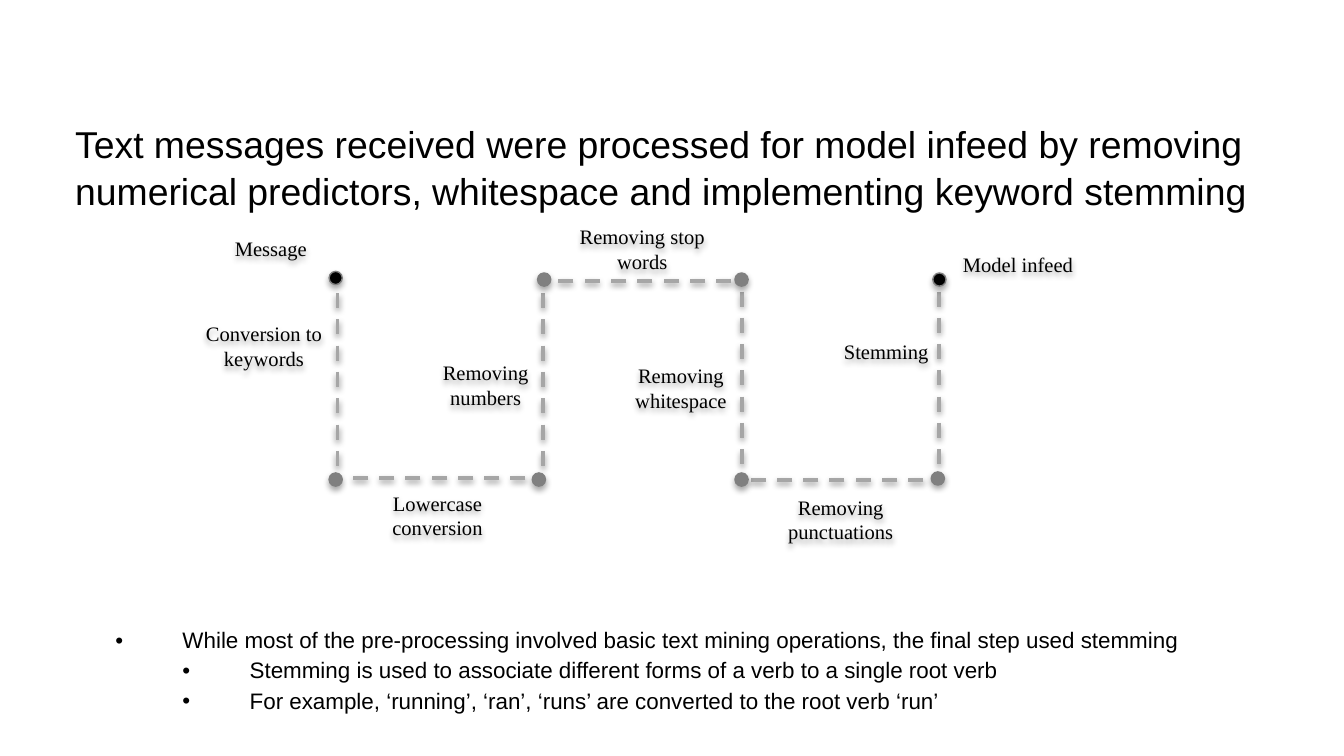
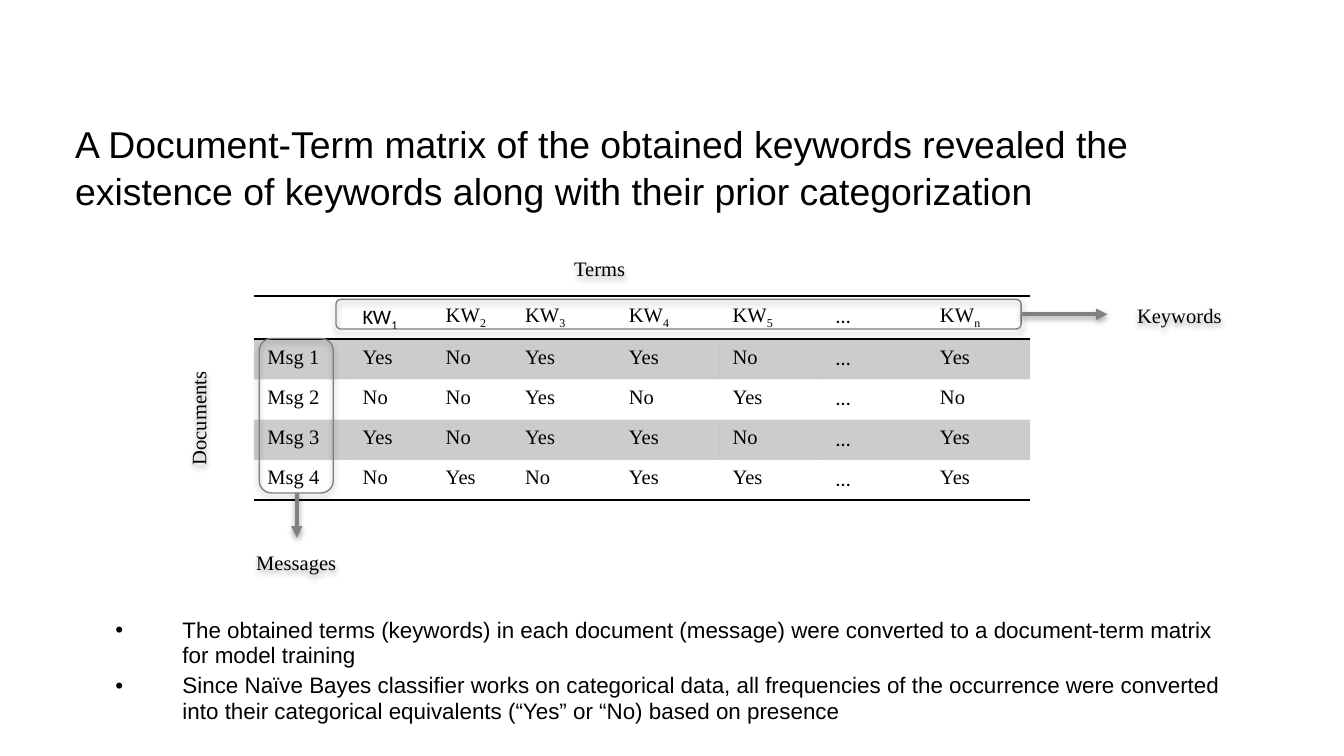
from lxml import etree
from pptx import Presentation
from pptx import util as u
from pptx.dml import color
from pptx.enum import dml, shapes, text
from pptx.oxml.ns import qn

COLOURS = {"ink": "000000", "grey": "808080", "path": "A6A6A6"}
SANS, SERIF, ELLIPSIS_FONT = "Arial", "Times New Roman", "Calibri"
NO_STYLE = "{2D5ABB26-0587-4C30-8999-92F81FD0307C}"
LINK = 3.3
LABEL_WIDTH = 3.38
LABEL_HEIGHT = 0.94

LINKS_DOWN = [(6.38, 5.54), (10.26, 5.54), (14.02, 5.51), (17.75, 5.51)]
LINKS_ACROSS = [(6.63, 9.04), (10.52, 5.31), (14.15, 9.07)]
ENDS = [(6.22, 5.13), (17.63, 5.16)]
STOPS = [(6.22, 8.94), (10.06, 8.94), (10.16, 5.16),
         (13.89, 5.16), (13.89, 8.94), (17.6, 8.92)]
STEPS = [
    ("Message", 3.43, 4.22),
    ("Conversion to keywords", 3.3, 6.07),
    ("Lowercase conversion", 6.58, 9.27),
    ("Removing numbers", 7.49, 6.81),
    ("Removing stop words", 10.64, 4.24, 3),
    ("Removing whitespace", 11.18, 6.86),
    ("Removing punctuations", 14.2, 9.35),
    ("Stemming", 15.06, 6.17),
    ("Model infeed", 17.55, 4.52),
]
TERM_WIDTHS = [1.8, 1.57, 1.5] + [1.96] * 5
TERMS = ["", "1", "2", "3", "4", "5", "…", "n"]
MESSAGES = [
    ["Msg 1", "Yes", "No", "Yes", "Yes", "No", "…", "Yes"],
    ["Msg 2", "No", "No", "Yes", "No", "Yes", "…", "No"],
    ["Msg 3", "Yes", "No", "Yes", "Yes", "No", "…", "Yes"],
    ["Msg 4", "No", "Yes", "No", "Yes", "Yes", "…", "Yes"],
]


def rgb(name):
    """Return a named colour."""
    return color.RGBColor.from_string(COLOURS[name])


def box(*lengths):
    """Turn centimetres into slide lengths."""
    return [u.Cm(length) for length in lengths]


def add_xml(parent, tag, **attributes):
    """Append a drawing element and return it."""
    return etree.SubElement(parent, qn(tag), **attributes)


def add_run(paragraph, words, size=11, font=SERIF):
    """Add one formatted run to a paragraph."""
    run = paragraph.add_run()
    run.text = words
    run.font.size = u.Pt(size)
    run.font.name = font
    run.font.color.rgb = rgb("ink")
    return run


def add_shadow(item, distance=23000, opacity=35000):
    """Give a shape or connector a soft shadow below it."""
    effects = add_xml(item._element.spPr, "a:effectLst")
    shadow = add_xml(effects, "a:outerShdw", blurRad="40000", dist=str(distance),
                     dir="5400000", rotWithShape="0")
    tint = add_xml(shadow, "a:srgbClr", val=COLOURS["ink"])
    add_xml(tint, "a:alpha", val=str(opacity))


def add_text_area(slide, *place):
    """Add a wrapping text box and return its frame."""
    frame = slide.shapes.add_textbox(*box(*place)).text_frame
    frame.word_wrap = True
    return frame


def add_title(slide, words):
    """Add the slide title."""
    heading = add_text_area(slide, 1.17, 2.13, 23.32, 2.67).paragraphs[0]
    heading.line_spacing = 1.05
    add_run(heading, words, 20, SANS)


def add_points(slide, points):
    """Add bulleted points given as (level, words)."""
    frame = add_text_area(slide, 1.93, 11.23, 21.77, 2.92)
    frame.vertical_anchor = text.MSO_ANCHOR.MIDDLE
    for index, (level, words) in enumerate(points):
        point = frame.add_paragraph() if index else frame.paragraphs[0]
        point.level = level
        point.line_spacing = 0.95
        props = point._p.get_or_add_pPr()
        props.set("marL", str(u.Cm(1.27 * (level + 1))))
        props.set("indent", str(u.Cm(-1.27)))
        add_xml(add_xml(props, "a:spcBef"), "a:spcPct", val="20000")
        add_xml(props, "a:buFont", typeface=SANS)
        add_xml(props, "a:buChar", char="•")
        add_run(point, words, 12, SANS)


def add_label(slide, words, left, top, width=LABEL_WIDTH, rotation=0):
    """Add a centred label without outline."""
    label = slide.shapes.add_shape(shapes.MSO_SHAPE.ROUNDED_RECTANGLE,
                                   *box(left, top, width, LABEL_HEIGHT))
    label.fill.background()
    label.line.fill.background()
    label.rotation = rotation
    add_shadow(label)
    frame = label.text_frame
    frame.word_wrap = True
    frame.vertical_anchor = text.MSO_ANCHOR.MIDDLE
    frame.paragraphs[0].alignment = text.PP_ALIGN.CENTER
    add_run(frame.paragraphs[0], words)


def add_outline(slide, kind, place, fill=None):
    """Add a thin grey outline, filled if a colour is named."""
    outline = slide.shapes.add_shape(kind, *box(*place))
    if fill:
        outline.fill.solid()
        outline.fill.fore_color.rgb = rgb(fill)
    else:
        outline.fill.background()
    outline.line.color.rgb = rgb("grey")
    outline.line.width = u.Pt(0.75)
    add_shadow(outline)


def add_line(slide, ends, colour, dashed=False, arrow=False):
    """Add a straight line with an optional dash and arrowhead."""
    line = slide.shapes.add_connector(shapes.MSO_CONNECTOR.STRAIGHT, *box(*ends))
    line.line.color.rgb = rgb(colour)
    line.line.width = u.Pt(2)
    if dashed:
        line.line.dash_style = dml.MSO_LINE.DASH
    if arrow:
        add_xml(line._element.spPr.find(qn("a:ln")), "a:tailEnd", type="triangle")
    add_shadow(line, 20000, 38000)


def add_border(cell, side):
    """Draw a black rule on one side of a cell."""
    rule = add_xml(cell._tc.get_or_add_tcPr(), side, w="12700")
    add_xml(add_xml(rule, "a:solidFill"), "a:srgbClr", val=COLOURS["ink"])


def shade(cell, striped):
    """Fill a cell with a light stripe or leave it clear."""
    if not striped:
        cell.fill.background()
        return
    cell.fill.solid()
    cell.fill.fore_color.rgb = rgb("ink")
    tint = cell._tc.tcPr.find(qn("a:solidFill")).find(qn("a:srgbClr"))
    add_xml(tint, "a:alpha", val="20000")


def fill_term(paragraph, term, column):
    """Write a keyword heading with its subscript."""
    paragraph.line_spacing = 1.07
    paragraph.space_after = u.Pt(8)
    if not term:
        add_xml(paragraph._p, "a:endParaRPr", sz="1100")
    elif term == "…":
        add_run(paragraph, term, font=ELLIPSIS_FONT)
    else:
        font = ELLIPSIS_FONT if column == 1 else SERIF
        add_run(paragraph, "KW", font=font)
        subscript = add_run(paragraph, term, font=font)
        subscript.font._element.set("baseline", "-25000")


def add_matrix(slide):
    """Add the document-term matrix."""
    rows = [TERMS] + MESSAGES
    frame = slide.shapes.add_table(len(rows), len(TERMS),
                                   *box(4.8, 5.59, sum(TERM_WIDTHS), 0.76 * len(rows)))
    matrix = frame.table
    matrix.first_row = matrix.horz_banding = False
    matrix._tbl.tblPr.find(qn("a:tableStyleId")).text = NO_STYLE
    for column, width in zip(matrix.columns, TERM_WIDTHS):
        column.width = u.Cm(width)
    for r, values in enumerate(rows):
        matrix.rows[r].height = u.Cm(0.76)
        for c, value in enumerate(values):
            cell = matrix.cell(r, c)
            paragraph = cell.text_frame.paragraphs[0]
            if r == 0:
                fill_term(paragraph, value, c)
                add_border(cell, "a:lnT")
            else:
                add_run(paragraph, value, font=ELLIPSIS_FONT if value == "…" else SERIF)
            if r in (0, len(rows) - 1):
                add_border(cell, "a:lnB")
            shade(cell, r % 2 == 1)


def build_processing(slide):
    """Show the steps from message to model infeed."""
    add_title(slide, "Text messages received were processed for model infeed by removing "
                     "numerical predictors, whitespace and implementing keyword stemming")
    add_points(slide, [
        (0, "While most of the pre-processing involved basic text mining operations, "
            "the final step used stemming"),
        (1, "Stemming is used to associate different forms of a verb to a single root verb"),
        (1, "For example, ‘running’, ‘ran’, ‘runs’ are converted to the root verb ‘run’"),
    ])
    for x, y in LINKS_DOWN:
        add_line(slide, (x, y, x, y + LINK), "path", dashed=True)
    for x, y in LINKS_ACROSS:
        add_line(slide, (x + LINK, y, x, y), "path", dashed=True)
    for dots, fill in ((ENDS, "ink"), (STOPS, "grey")):
        for x, y in dots:
            add_outline(slide, shapes.MSO_SHAPE.OVAL, (x, y, 0.25, 0.25), fill)
    for step in STEPS:
        add_label(slide, *step)


def build_matrix(slide):
    """Show the document-term matrix with its callouts."""
    add_title(slide, "A Document-Term matrix of the obtained keywords revealed the "
                     "existence of keywords along with their prior categorization")
    add_points(slide, [
        (0, "The obtained terms (keywords) in each document (message) were converted "
            "to a document-term matrix for model training"),
        (0, "Since Naïve Bayes classifier works on categorical data, all frequencies of "
            "the occurrence were converted into their categorical equivalents "
            "(“Yes” or “No) based on presence"),
    ])
    add_matrix(slide)
    add_label(slide, "Documents", 1.22, 7.44, 5.05, 270)
    add_label(slide, "Terms", 8.81, 4.6, 5.05)
    add_label(slide, "Keywords", 20.93, 5.49, 2.72)
    add_label(slide, "Messages", 4.24, 10.16, 2.72)
    for place in ((6.35, 5.66, 12.95, 0.56), (4.9, 6.4, 1.4, 2.92)):
        add_outline(slide, shapes.MSO_SHAPE.ROUNDED_RECTANGLE, place)
    for ends in ((19.3, 5.94, 20.93, 5.94), (5.61, 9.32, 5.61, 10.16)):
        add_line(slide, ends, "grey", arrow=True)


def main():
    """Build both slides and save them."""
    deck = Presentation()
    deck.slide_width, deck.slide_height = box(25.4, 14.29)
    for build in (build_processing, build_matrix):
        build(deck.slides.add_slide(deck.slide_layouts[6]))
    deck.save("out.pptx")


if __name__ == "__main__":
    main()
